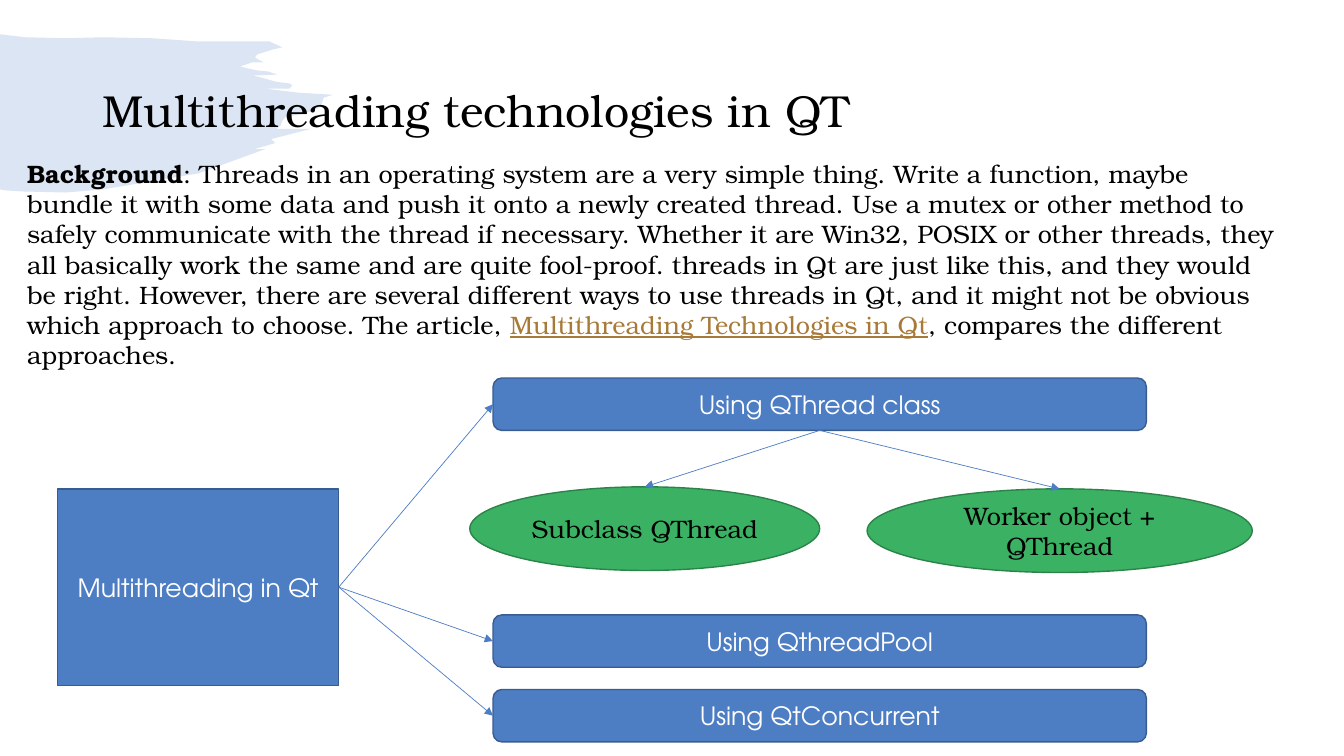
from lxml.etree import SubElement
from pptx import Presentation
from pptx.dml.color import RGBColor
from pptx.enum.shapes import MSO_CONNECTOR, MSO_SHAPE as SHAPE
from pptx.enum.text import MSO_ANCHOR as ANCHOR, PP_ALIGN as ALIGN
from pptx.oxml.ns import qn
from pptx.util import Pt

PX = 9144  # EMU per px, 100 px to the inch
COLORS = {
    "blue": "4D7DC3", "blue_edge": "395C90",
    "green": "3BB164", "green_edge": "2C834A",
    "link": "A87A38", "black": "000000", "white": "FFFFFF",
}
SERIF, SANS = "TeX Gyre Bonum", "TeX Gyre Adventor"

# Content
TITLE = "Multithreading technologies in QT"
BACKGROUND = [  # text, colour, bold, underlined
    ("Background", "black", True, False),
    (": Threads in an operating system are a very simple thing. Write a function, "
     "maybe bundle it with some data and push it onto a newly created thread. Use a "
     "mutex or other method to safely communicate with the thread if necessary. "
     "Whether it are Win32, POSIX or other threads, they all basically work the same "
     "and are quite fool-proof. threads in Qt are just like this, and they would be "
     "right. However, there are several different ways to use threads in Qt, and it "
     "might not be obvious which approach to choose. The article, ",
     "black", False, False),
    ("Multithreading Technologies in Qt", "link", False, True),
    (", compares the different approaches.", "black", False, False),
]
ROOT = ("Multithreading in Qt", (57, 485, 279, 195))
APPROACHES = [  # text, top
    ("Using QThread class", 375),
    ("Using QthreadPool", 610),
    ("Using QtConcurrent", 684),
]
QTHREAD_WAYS = [  # text, box
    ("Subclass QThread", (466, 483, 347, 83)),
    ("Worker object + QThread", (860, 485, 382, 83)),
]
APPROACH_LEFT, APPROACH_WIDTH, APPROACH_HEIGHT = 489, 648, 52
BRUSH_STROKE = [
    (0, 34), (25, 37), (66, 38), (102, 37), (151, 38), (194, 41), (248, 41),
    (267, 41), (280, 47), (271, 49), (255, 54), (253, 57), (256, 59), (262, 62),
    (250, 62), (238, 66), (246, 68), (256, 70), (266, 71), (275, 74), (251, 75),
    (263, 78), (273, 81), (280, 82), (288, 83), (290, 85), (287, 88), (284, 88),
    (263, 88), (296, 92), (330, 94), (321, 97), (318, 106), (307, 111), (300, 113),
    (283, 116), (280, 120), (278, 125), (274, 128), (308, 128), (269, 138),
    (273, 142), (252, 148), (263, 148), (197, 172), (102, 188), (65, 191),
    (23, 190), (7, 189), (0, 188),
]
TOP, LEFT, BOTTOM, RIGHT = range(4)  # connection sites


def emu(box):
    return [length * PX for length in box]


def rgb(name):
    return RGBColor.from_string(COLORS[name])


def style_run(run, size, font, color, bold=False, underline=False):
    run.font.size, run.font.name = Pt(size), font
    run.font.color.rgb = rgb(color)
    run.font.bold, run.font.underline = bold, underline


def add_text(box, anchor, size, runs):
    frame = slide.shapes.add_textbox(*emu(box)).text_frame
    frame.word_wrap, frame.vertical_anchor = True, anchor
    paragraph = frame.paragraphs[0]
    for text, *look in runs:
        run = paragraph.add_run()
        run.text = text
        style_run(run, size, SERIF, *look)
    return paragraph


def add_node(kind, text, box, fill, font, color):
    node = slide.shapes.add_shape(kind, *emu(box))
    node.shadow.inherit = False
    node.fill.solid()
    node.fill.fore_color.rgb = rgb(fill)
    node.line.color.rgb = rgb(fill + "_edge")
    node.line.width = Pt(1)
    frame = node.text_frame
    frame.text, frame.word_wrap = text, True
    frame.vertical_anchor = ANCHOR.MIDDLE
    frame.paragraphs[0].alignment = ALIGN.CENTER
    style_run(frame.paragraphs[0].runs[0], 18, font, color)
    return node


def add_arrow(source, source_site, target, target_site):
    arrow = slide.shapes.add_connector(MSO_CONNECTOR.STRAIGHT, 0, 0, 0, 0)
    arrow.begin_connect(source, source_site)
    arrow.end_connect(target, target_site)
    arrow.line.color.rgb = rgb("blue")
    arrow.line.width = Pt(0.5)
    SubElement(arrow.line._get_or_add_ln(), qn("a:tailEnd"), type="triangle")
    SubElement(arrow._element.spPr, qn("a:effectLst"))


prs = Presentation()
prs.slide_width, prs.slide_height = emu((1333, 750))
slide = prs.slides.add_slide(prs.slide_layouts[6])

# Pale brush stroke behind the title
outline = slide.shapes.build_freeform(*BRUSH_STROKE[0], scale=PX)
outline.add_line_segments(BRUSH_STROKE[1:], close=True)
brush = outline.convert_to_shape()
brush.shadow.inherit = False
brush.fill.solid()
brush.fill.fore_color.rgb = rgb("blue")
brush.line.fill.background()
brush_color = brush._element.spPr.find(qn("a:solidFill"))[0]
SubElement(brush_color, qn("a:alpha"), val="20000")

# Title and background text
title = add_text((92, 40, 1150, 145), ANCHOR.MIDDLE, 32, [(TITLE, "black")])
title.line_spacing = 0.9
add_text((17, 152, 1261, 192), ANCHOR.TOP, 18, BACKGROUND)

# Diagram nodes
root = add_node(SHAPE.RECTANGLE, *ROOT, "blue", SANS, "white")
approaches = [
    add_node(SHAPE.ROUNDED_RECTANGLE, text,
             (APPROACH_LEFT, top, APPROACH_WIDTH, APPROACH_HEIGHT),
             "blue", SANS, "white")
    for text, top in APPROACHES
]
ways = [add_node(SHAPE.OVAL, text, box, "green", SERIF, "black")
        for text, box in QTHREAD_WAYS]

# Arrows
for approach in approaches:
    add_arrow(root, RIGHT, approach, LEFT)
for way in ways:
    add_arrow(approaches[0], BOTTOM, way, TOP)

prs.save("out.pptx")
